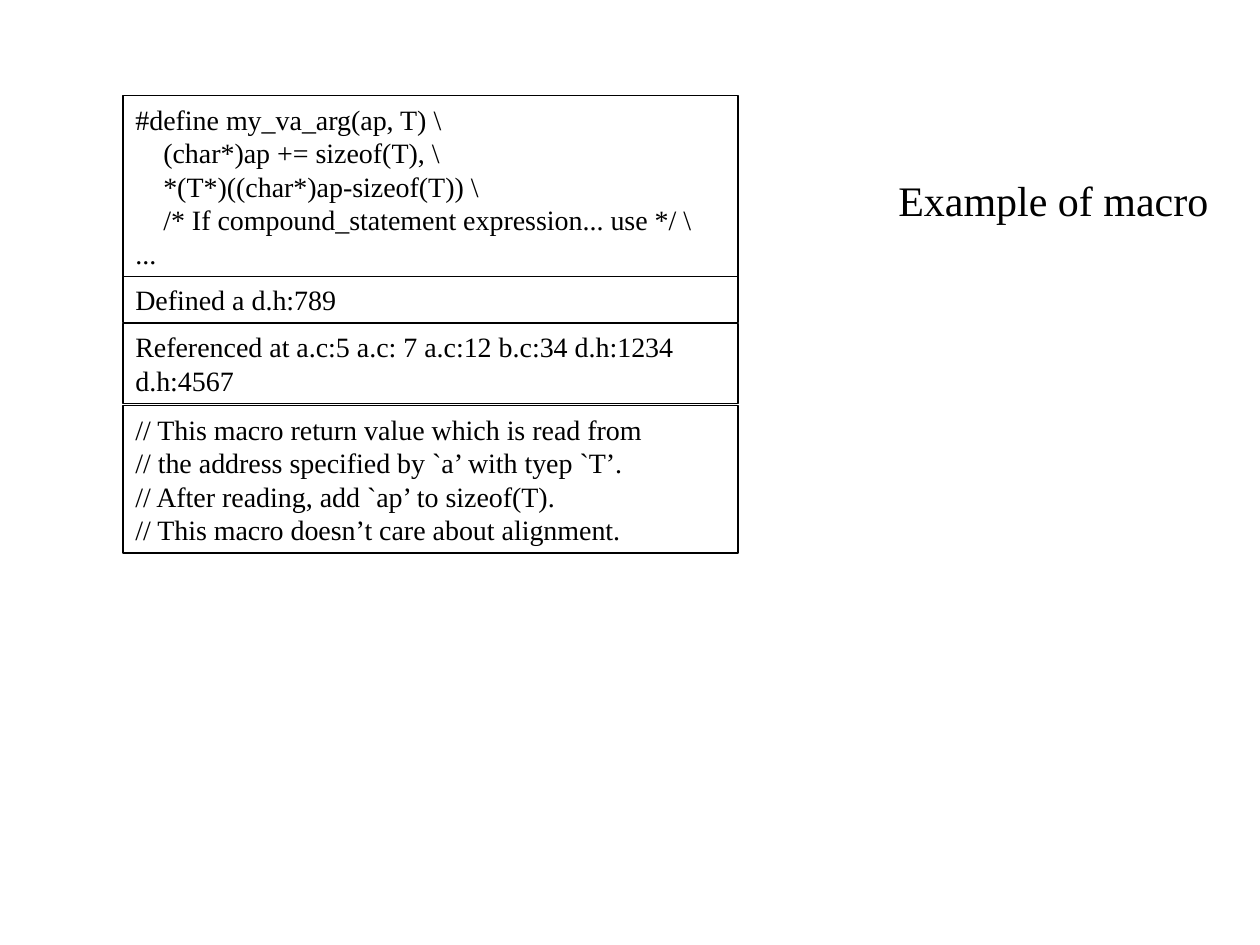
import pptx
import pptx.util
import pptx.dml.color
import pptx.enum.shapes
import pptx.enum.text

Cm, Pt = pptx.util.Cm, pptx.util.Pt

# Content: top of each box in cm, then its lines
BOXES = [
    (1.93, [
        "#define my_va_arg(ap, T) \\",
        "    (char*)ap += sizeof(T), \\",
        "    *(T*)((char*)ap-sizeof(T)) \\",
        "    /* If compound_statement expression... use */ \\",
        "...",
    ]),
    (5.57, ["Defined a d.h:789"]),
    (6.52, [
        "Referenced at a.c:5 a.c: 7 a.c:12 b.c:34 d.h:1234",
        "d.h:4567",
    ]),
    (8.18, [
        "// This macro return value which is read from",
        "// the address specified by `a’ with tyep `T’.",
        "// After reading, add `ap’ to sizeof(T).",
        "// This macro doesn’t care about alignment.",
    ]),
]
TITLE = "Example of macro"

FONT, INK = "Times New Roman", "000000"
LEFT, WIDTH = 2.48, 12.4
PAD_X, PAD_Y = 0.25, 0.13
SIZE, PITCH = 16, 1.2  # points, line pitch as a share of the size


def color(code):
    return pptx.dml.color.RGBColor.from_string(code)


def write(shape, lines, size=SIZE, wrap=True):
    frame = shape.text_frame
    frame.word_wrap = wrap
    frame.vertical_anchor = pptx.enum.text.MSO_ANCHOR.TOP
    frame.margin_left = frame.margin_right = Cm(PAD_X)
    frame.margin_top = frame.margin_bottom = Cm(PAD_Y)
    frame.text = "\n".join(lines)
    for para in frame.paragraphs:
        para.alignment = pptx.enum.text.PP_ALIGN.LEFT
        para.line_spacing = Pt(size * PITCH)
        para.font.name = FONT
        para.font.size = Pt(size)
        para.font.color.rgb = color(INK)


deck = pptx.Presentation()
deck.slide_width, deck.slide_height = Cm(25.4), Cm(19.05)
slide = deck.slides.add_slide(deck.slide_layouts[6])

# Stacked boxes, each as tall as its lines
for top, lines in BOXES:
    height = 2 * Cm(PAD_Y) + len(lines) * Pt(SIZE * PITCH)
    box = slide.shapes.add_shape(
        pptx.enum.shapes.MSO_SHAPE.RECTANGLE,
        Cm(LEFT), Cm(top), Cm(WIDTH), height)
    box.shadow.inherit = False
    box.fill.background()
    box.line.color.rgb = color(INK)
    box.line.width = Pt(0.75)
    write(box, lines)

# Title at the right
title = slide.shapes.add_textbox(Cm(17.86), Cm(3.38), Cm(6.76), Cm(1.27))
write(title, [TITLE], size=24, wrap=False)

deck.save("out.pptx")
